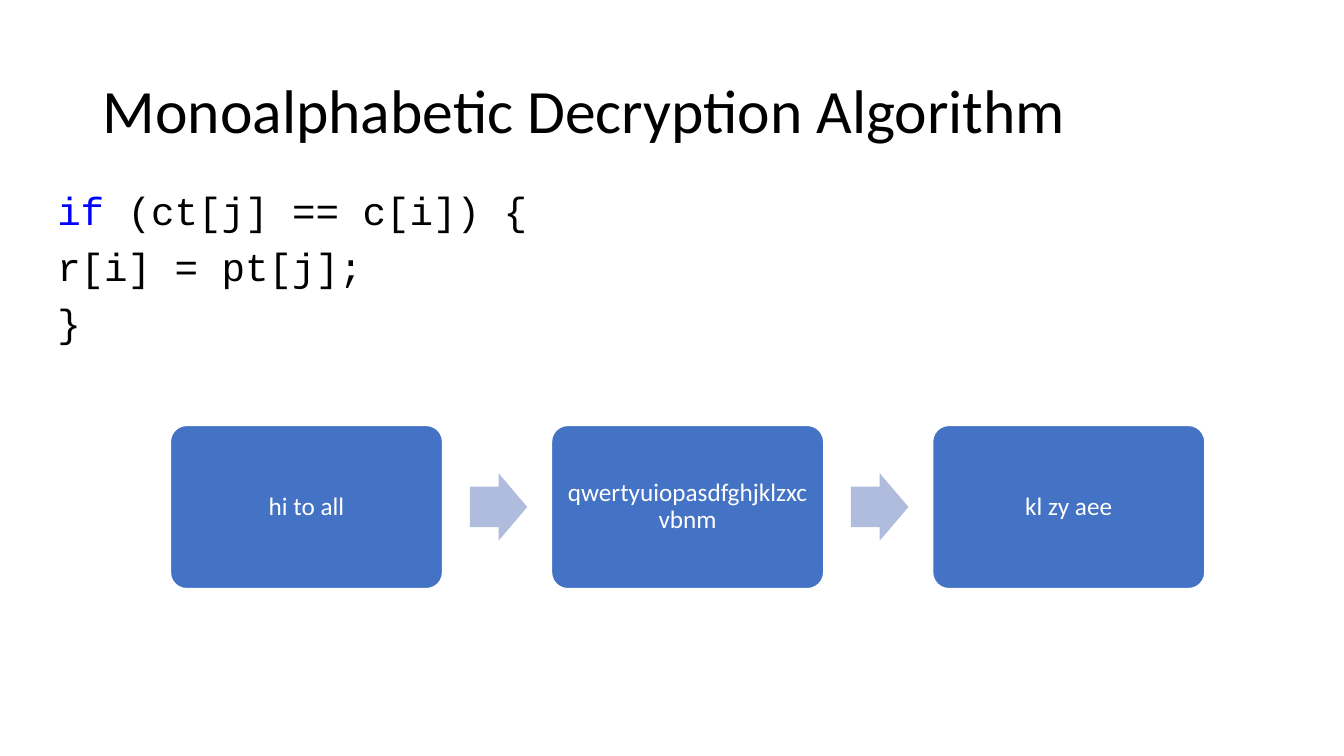
"""Build the slide on the monoalphabetic decryption algorithm."""
from pptx import Presentation
from pptx import util as u
from pptx.dml.color import RGBColor
from pptx.enum import shapes, text

STEPS = ["hi to all", "qwertyuiopasdfghjklzxcvbnm", "kl zy aee"]
CODE = [
    [("if", "0000FF"), (" (ct[j] == c[i]) {", "000000")],
    [("r[i] = pt[j];", "000000")],
    [("}", "000000")],
]
FLOW_LEFT, FLOW_TOP, STEP_PITCH = 1.69, 4.22, 3.78
BOX_WIDTH, BOX_HEIGHT = 2.7, 1.62
ARROW_OFFSET, ARROW_WIDTH, ARROW_HEIGHT = 2.97, 0.57, 0.67


def color(value):
    return RGBColor.from_string(value)


def add_text(slide, left, top, width, height, lines, font, size,
             anchor=text.MSO_ANCHOR.TOP, space_before=0):
    box = slide.shapes.add_textbox(*map(u.Inches, (left, top, width, height)))
    frame = box.text_frame
    frame.word_wrap = True
    frame.vertical_anchor = anchor
    for number, runs in enumerate(lines):
        paragraph = frame.add_paragraph() if number else frame.paragraphs[0]
        paragraph.line_spacing = 0.9
        paragraph.space_before = u.Pt(space_before)
        paragraph.font.name = font
        paragraph.font.size = u.Pt(size)
        for words, tint in runs:
            run = paragraph.add_run()
            run.text = words
            run.font.color.rgb = color(tint)


def add_block(slide, kind, left, top, width, height, fill, adjustments):
    shape = slide.shapes.add_shape(
        kind, *map(u.Inches, (left, top, width, height)))
    shape.shadow.inherit = False
    shape.fill.solid()
    shape.fill.fore_color.rgb = color(fill)
    shape.line.fill.background()
    for number, value in enumerate(adjustments):
        shape.adjustments[number] = value
    return shape


def add_step(slide, left, label):
    shape = add_block(slide, shapes.MSO_SHAPE.ROUNDED_RECTANGLE, left, FLOW_TOP,
                      BOX_WIDTH, BOX_HEIGHT, "4472C4", [0.1])
    shape.line.color.rgb = color("FFFFFF")
    shape.line.width = u.Pt(1)
    frame = shape.text_frame
    frame.word_wrap = True
    frame.vertical_anchor = text.MSO_ANCHOR.MIDDLE
    frame.margin_left = frame.margin_right = u.Inches(0.07)
    frame.margin_top = frame.margin_bottom = u.Inches(0.07)
    paragraph = frame.paragraphs[0]
    paragraph.text = label
    paragraph.alignment = text.PP_ALIGN.CENTER
    paragraph.line_spacing = 0.9
    paragraph.font.name = "Calibri"
    paragraph.font.size = u.Pt(18)
    paragraph.font.color.rgb = color("FFFFFF")


def add_arrow(slide, left):
    top = FLOW_TOP + (BOX_HEIGHT - ARROW_HEIGHT) / 2
    add_block(slide, shapes.MSO_SHAPE.RIGHT_ARROW, left, top,
              ARROW_WIDTH, ARROW_HEIGHT, "B0BCDE", [0.6, 0.5])


def main():
    presentation = Presentation()
    presentation.slide_width = u.Inches(13.33)
    presentation.slide_height = u.Inches(7.5)
    slide = presentation.slides.add_slide(presentation.slide_layouts[6])
    add_text(slide, 0.92, 0.4, 11.5, 1.45,
             [[("Monoalphabetic Decryption Algorithm", "000000")]],
             "Calibri", 44, anchor=text.MSO_ANCHOR.MIDDLE)
    add_text(slide, 0.47, 1.85, 11.5, 4.76, CODE, "Courier New", 28,
             space_before=10)
    for number, label in enumerate(STEPS):
        left = FLOW_LEFT + number * STEP_PITCH
        add_step(slide, left, label)
        if number < len(STEPS) - 1:
            add_arrow(slide, left + ARROW_OFFSET)
    presentation.save("out.pptx")


if __name__ == "__main__":
    main()
